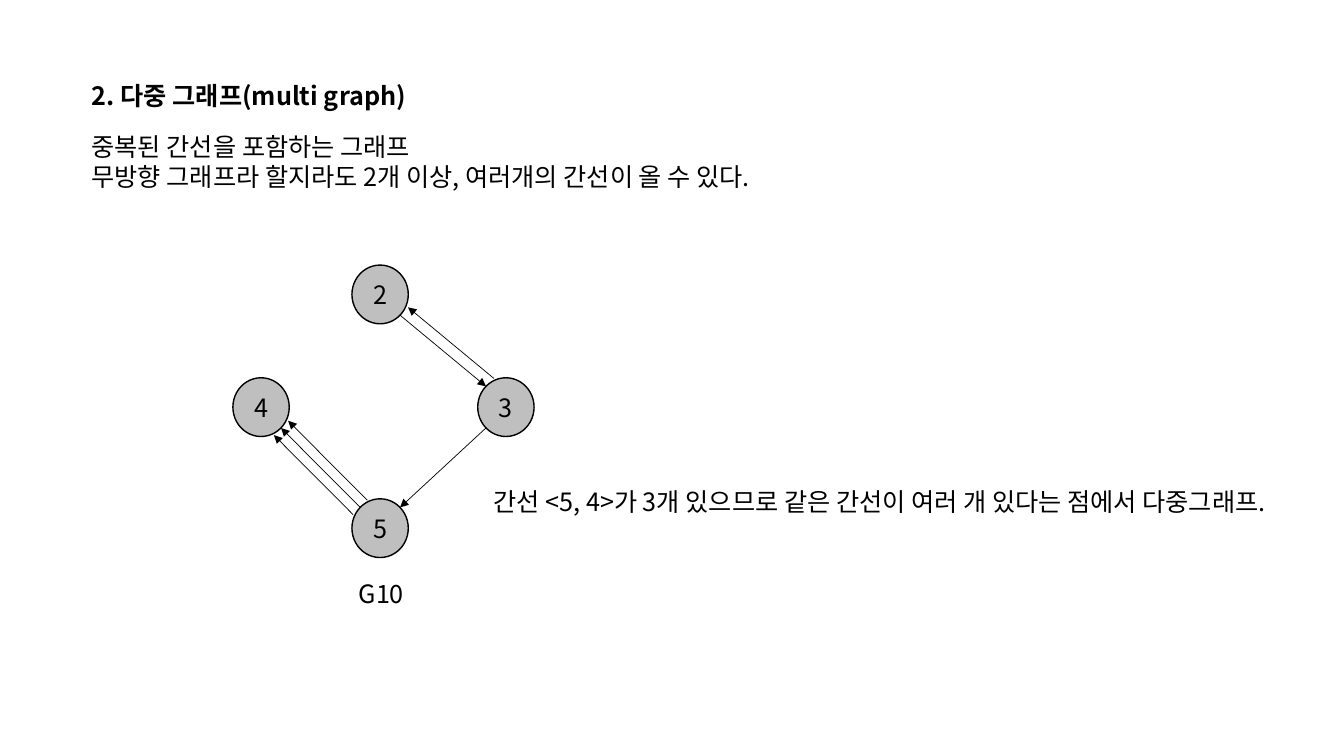
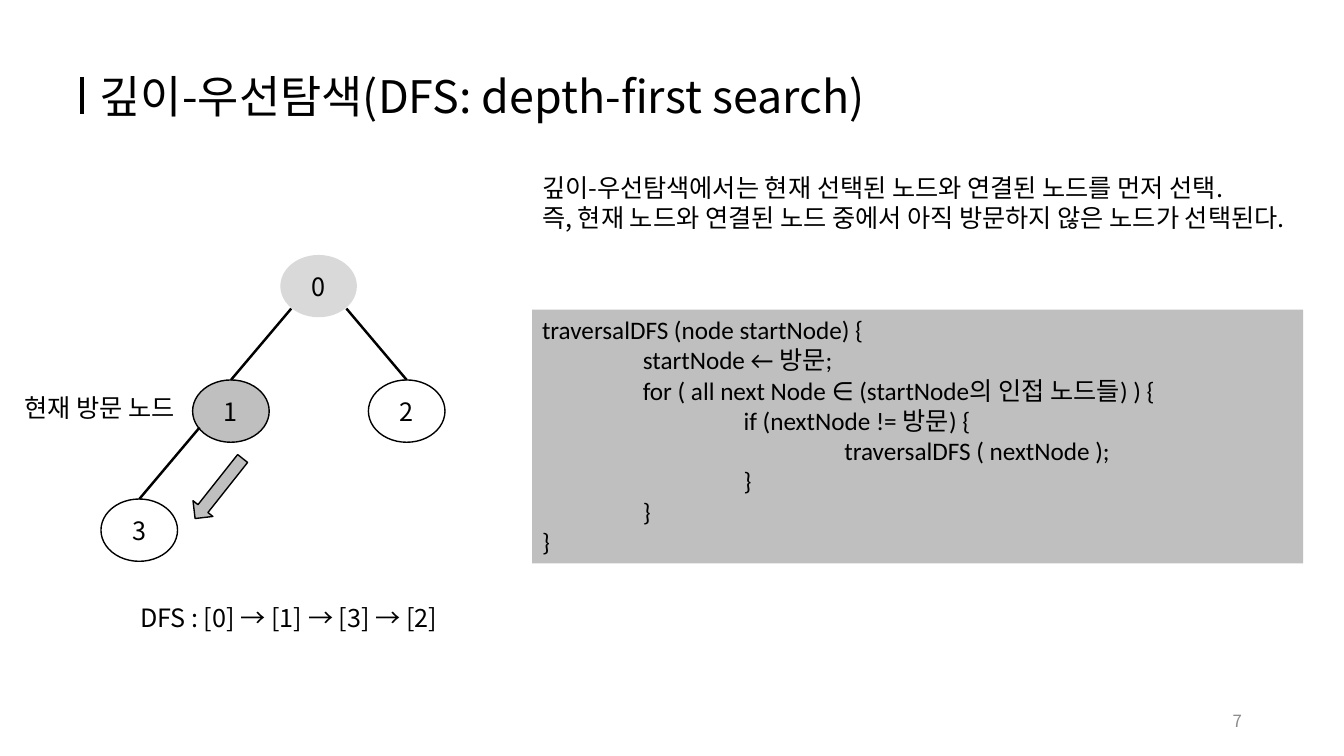
from math import sqrt

from lxml.etree import SubElement
from pptx import Presentation
from pptx.dml.color import RGBColor
from pptx.enum.shapes import MSO_CONNECTOR as Connector, MSO_SHAPE as Shape
from pptx.enum.text import MSO_ANCHOR as Anchor, MSO_AUTO_SIZE as AutoSize, PP_ALIGN as Align
from pptx.oxml.ns import qn
from pptx.util import Cm, Pt

COLORS = {"ink": "000000", "node": "BFBFBF", "visited": "D9D9D9", "number": "8C8C8C"}
FONT = "Noto Sans CJK KR"
CODE_FONT = "Calibri"
CODE_INDENT = 2.54

# All positions and sizes are in centimetres: left, top, width, height.
MULTI_TITLE = ("2. 다중 그래프(multi graph)", (2.06, 1.9, 25.02, 1.02))
MULTI_TEXTS = [
    (["중복된 간선을 포함하는 그래프",
      "무방향 그래프라 할지라도 2개 이상, 여러개의 간선이 올 수 있다."], (2.06, 3.18, 24.56, 1.8)),
    (["G10"], (8.79, 14.45, 2.39, 1.02)),
    (["간선 <5, 4>가 3개 있으므로 같은 간선이 여러 개 있다는 점에서 다중그래프."],
     (12.19, 12.12, 21.6, 1.02)),
]
GRAPH_SIZE = (1.42, 1.48)
GRAPH_NODES = {"2": (9.58, 7.42), "3": (12.75, 10.26), "4": (6.58, 10.26), "5": (9.58, 13.31)}
# from, to, sideways shift that keeps parallel edges apart
GRAPH_EDGES = [("2", "3", 0), ("3", "2", 0.2), ("3", "5", 0),
               ("5", "4", -0.18), ("5", "4", 0), ("5", "4", 0.18)]

DFS_TITLE = ("깊이-우선탐색(DFS: depth-first search)", (2.26, 1.6, 20.27, 1.63))
TITLE_BAR = ((2.06, 1.93), (2.06, 2.87))
PAGE_NUMBER = ("7", (23.93, 17.65, 7.62, 1.02))
DFS_TEXTS = [
    (["현재 방문 노드"], (0.36, 9.75, 4.34, 1.02)),
    (["깊이-우선탐색에서는 현재 선택된 노드와 연결된 노드를 먼저 선택.",
      "즉, 현재 노드와 연결된 노드 중에서 아직 방문하지 않은 노드가 선택된다."],
     (13.41, 4.22, 19.18, 1.8)),
    (["DFS : [0] → [1] → [3] → [2]"], (3.28, 15.06, 8.26, 1.02)),
]
TREE_SIZE = (1.93, 1.57)
TREE_NODES = {"0": (8.03, 7.21), "1": (5.82, 10.36), "2": (10.25, 10.36), "3": (3.51, 13.36)}
TREE_FILLS = {"0": "visited", "1": "node"}
TREE_EDGES = [("1", 1), ("2", -1), ("3", 1)]  # child, side on which its parent lies
TREE_RISE = (1.52, 1.8)
STEP_ARROW = (4.55, 11.99, 1.93, 0.64)
STEP_ANGLE = 128.4
CODE_AREA = (13.41, 7.8, 19.43, 6.4)
CODE = [
    (0, "traversalDFS (node startNode) {"),
    (1, "startNode ← 방문;"),
    (1, "for ( all next Node ∈ (startNode의 인접 노드들) ) {"),
    (2, "if (nextNode != 방문) {"),
    (3, "traversalDFS ( nextNode );"),
    (2, "}"),
    (1, "}"),
    (0, "}"),
]


def color(name):
    return RGBColor.from_string(COLORS[name])


def cm(values):
    return [Cm(value) for value in values]


def write(frame, lines, size=18, bold=False, ink="ink", align=Align.LEFT,
          anchor=Anchor.TOP, font=FONT, grow=True):
    """Fill a text frame with (indent level, text) lines."""
    frame.word_wrap = True
    frame.auto_size = AutoSize.SHAPE_TO_FIT_TEXT if grow else AutoSize.NONE
    frame.vertical_anchor = anchor
    for index, (level, text) in enumerate(lines):
        para = frame.add_paragraph() if index else frame.paragraphs[0]
        para.alignment = align
        if level:
            para._p.get_or_add_pPr().set("marL", str(Cm(level * CODE_INDENT)))
        span = para.add_run()
        span.text = text
        span.font.name = font
        span.font.size = Pt(size)
        span.font.bold = bold
        span.font.color.rgb = color(ink)
        SubElement(span._r.get_or_add_rPr(), qn("a:ea"), typeface=FONT)


def add_page(deck, title, size, bold=False):
    page = deck.slides.add_slide(deck.slide_layouts[5])
    text, area = title
    holder = page.shapes.title
    holder.left, holder.top, holder.width, holder.height = cm(area)
    write(holder.text_frame, [(0, text)], size, bold)
    return page


def add_text(page, lines, area, **style):
    box = page.shapes.add_textbox(*cm(area))
    write(box.text_frame, [(0, line) for line in lines], **style)


def add_shape(page, kind, area, fill=None, outline=True):
    shape = page.shapes.add_shape(kind, *cm(area))
    shape.shadow.inherit = False
    if fill:
        shape.fill.solid()
        shape.fill.fore_color.rgb = color(fill)
    else:
        shape.fill.background()
    if outline:
        shape.line.color.rgb = color("ink")
        shape.line.width = Pt(1)
    else:
        shape.line.fill.background()
    return shape


def add_node(page, label, center, size, fill, outline=True):
    corner = [middle - side / 2 for middle, side in zip(center, size)]
    node = add_shape(page, Shape.OVAL, (*corner, *size), fill, outline)
    write(node.text_frame, [(0, label)], align=Align.CENTER, anchor=Anchor.MIDDLE, grow=False)


def add_line(page, start, end, width, arrow=False):
    line = page.shapes.add_connector(Connector.STRAIGHT, *cm((*start, *end)))
    line.line.color.rgb = color("ink")
    line.line.width = Pt(width)
    if arrow:
        SubElement(line.line._get_or_add_ln(), qn("a:tailEnd"), type="triangle")
    SubElement(line._element.spPr, qn("a:effectLst"))


def rim_point(center, other, shift):
    """Diagonal point on a graph node's rim facing another node, moved sideways."""
    reach = [side / 2 * sqrt(0.5) for side in GRAPH_SIZE]
    signs = [1 if there > here else -1 for here, there in zip(center, other)]
    x, y = [here + sign * part for here, sign, part in zip(center, signs, reach)]
    return x + shift, y - shift


def build_multi_graph(deck):
    page = add_page(deck, MULTI_TITLE, 18, bold=True)
    for label, center in GRAPH_NODES.items():
        add_node(page, label, center, GRAPH_SIZE, "node")
    for source, target, shift in GRAPH_EDGES:
        start, end = GRAPH_NODES[source], GRAPH_NODES[target]
        add_line(page, rim_point(start, end, shift), rim_point(end, start, shift), 0.5, arrow=True)
    for lines, area in MULTI_TEXTS:
        add_text(page, lines, area)


def build_dfs(deck):
    page = add_page(deck, DFS_TITLE, 32)
    add_line(page, *TITLE_BAR, 3)
    number, area = PAGE_NUMBER
    add_text(page, [number], area, size=12, ink="number", align=Align.RIGHT,
             anchor=Anchor.MIDDLE, grow=False)
    for label, center in TREE_NODES.items():
        add_node(page, label, center, TREE_SIZE, TREE_FILLS.get(label), outline=label != "0")
    for child, side in TREE_EDGES:
        x, y = TREE_NODES[child]
        top = y - TREE_SIZE[1] / 2
        add_line(page, (x, top), (x + side * TREE_RISE[0], top - TREE_RISE[1]), 1.75)
    add_shape(page, Shape.RIGHT_ARROW, STEP_ARROW, "node").rotation = STEP_ANGLE
    for lines, area in DFS_TEXTS:
        add_text(page, lines, area)
    panel = add_shape(page, Shape.RECTANGLE, CODE_AREA, "node", outline=False)
    write(panel.text_frame, CODE, font=CODE_FONT)


def main():
    deck = Presentation()
    deck.slide_width, deck.slide_height = Cm(33.87), Cm(19.05)
    build_multi_graph(deck)
    build_dfs(deck)
    deck.save("out.pptx")


if __name__ == "__main__":
    main()
